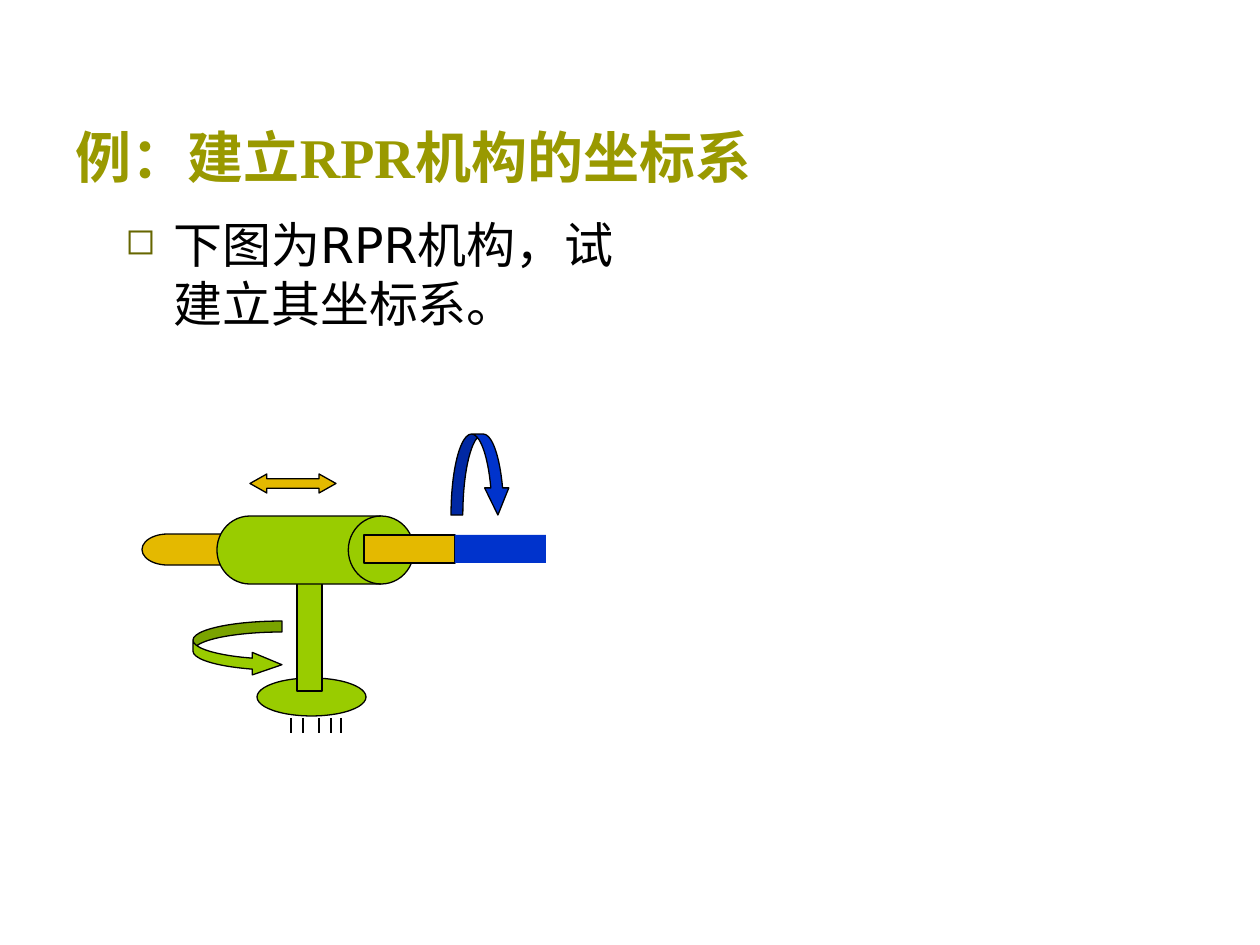
from lxml import etree
from pptx import Presentation
from pptx.dml.color import RGBColor
from pptx.enum.shapes import MSO_CONNECTOR, MSO_SHAPE
from pptx.enum.text import MSO_ANCHOR, MSO_AUTO_SIZE, PP_ALIGN
from pptx.oxml.ns import qn
from pptx.util import Emu, Pt

PX = 914400 / 126
TITLE_ONLY = 5
ELLIPSE, RECT = MSO_SHAPE.OVAL, MSO_SHAPE.RECTANGLE
DRUM = MSO_SHAPE.FLOWCHART_DIRECT_ACCESS_STORAGE
TURN_RIGHT, TURN_DOWN = MSO_SHAPE.CURVED_RIGHT_ARROW, MSO_SHAPE.CURVED_DOWN_ARROW
SLIDE_ARROW = MSO_SHAPE.LEFT_RIGHT_ARROW
STRAIGHT = MSO_CONNECTOR.STRAIGHT

COLORS = {
    "title": "999900",
    "bullet": "666600",
    "ink": "000000",
    "base": "99CC00",
    "slider": "E4B900",
    "wrist": "0033CC",
}
TITLE_FONT = {"name": "Times New Roman", "size": Pt(32), "bold": True}
BODY_FONT = {"name": "DejaVu Sans", "size": Pt(28), "bold": False}
GROUND_X = (291, 303, 319, 331, 341)
GROUND_TOP, GROUND_BOTTOM = 718, 733


def px(length):
    return Emu(round(length * PX))


def color(name):
    return RGBColor.from_string(COLORS[name])


def write_text(frame, text, font_format, color_name):
    frame.word_wrap = True
    frame.auto_size = MSO_AUTO_SIZE.NONE
    paragraph = frame.paragraphs[0]
    paragraph.alignment = PP_ALIGN.LEFT
    run = paragraph.add_run()
    run.text = text
    for attribute, value in font_format.items():
        setattr(run.font, attribute, value)
    run.font.color.rgb = color(color_name)
    return paragraph


def add_title(slide, text, left, top, width, height):
    title = slide.shapes.title
    title.left, title.top = px(left), px(top)
    title.width, title.height = px(width), px(height)
    title.text_frame.vertical_anchor = MSO_ANCHOR.BOTTOM
    write_text(title.text_frame, text, TITLE_FONT, "title")


def add_bullet(paragraph, character, indent):
    properties = paragraph._p.get_or_add_pPr()
    properties.set("marL", str(px(indent)))
    properties.set("indent", str(-px(indent)))
    bullet_color = etree.SubElement(properties, qn("a:buClr"))
    etree.SubElement(bullet_color, qn("a:srgbClr"), val=COLORS["bullet"])
    etree.SubElement(properties, qn("a:buSzPct"), val="75000")
    etree.SubElement(properties, qn("a:buChar"), char=character)


def add_task(slide, text, left, top, width, height):
    box = slide.shapes.add_textbox(px(left), px(top), px(width), px(height))
    paragraph = write_text(box.text_frame, text, BODY_FONT, "ink")
    add_bullet(paragraph, "◻", 48)


def add_part(slide, preset, bounds, fill, adjustments=(), outlined=True):
    part = slide.shapes.add_shape(preset, *map(px, bounds))
    part.shadow.inherit = False
    part.fill.solid()
    part.fill.fore_color.rgb = color(fill)
    if outlined:
        part.line.color.rgb = color("ink")
        part.line.width = Pt(0.75)
    else:
        part.line.fill.background()
    for index, value in enumerate(adjustments):
        part.adjustments[index] = value


def add_ground(slide):
    for x in GROUND_X:
        mark = slide.shapes.add_connector(
            STRAIGHT, px(x), px(GROUND_TOP), px(x), px(GROUND_BOTTOM))
        mark.line.color.rgb = color("ink")
        mark.line.width = Pt(0.75)
        etree.SubElement(mark._element.spPr, qn("a:effectLst"))


def add_mechanism(slide):
    add_part(slide, ELLIPSE, (257, 678, 109, 38), "base")
    add_part(slide, RECT, (297, 580, 25, 111), "base")
    add_ground(slide)
    add_part(slide, DRUM, (142, 534, 154, 31), "slider")
    add_part(slide, DRUM, (217, 516, 197, 68), "base")
    add_part(slide, RECT, (364, 535, 91, 28), "slider")
    add_part(slide, RECT, (455, 535, 91, 28), "wrist", outlined=False)


def add_motions(slide):
    add_part(slide, TURN_RIGHT, (193, 621, 89, 55), "base", (0.2, 0.41, 0.54))
    add_part(slide, TURN_DOWN, (451, 434, 59, 81), "wrist", (0.2, 0.41, 0.46))
    add_part(slide, SLIDE_ARROW, (250, 474, 86, 19), "slider", (0.5, 0.89))


def main():
    presentation = Presentation()
    presentation.slide_width, presentation.slide_height = px(1260), px(945)
    slide = presentation.slides.add_slide(presentation.slide_layouts[TITLE_ONLY])
    add_title(slide, "例：建立RPR机构的坐标系", 63, 110, 1134, 86)
    add_task(slide, "下图为RPR机构，试建立其坐标系。", 113, 208, 517, 146)
    add_mechanism(slide)
    add_motions(slide)
    presentation.save("out.pptx")


if __name__ == "__main__":
    main()
